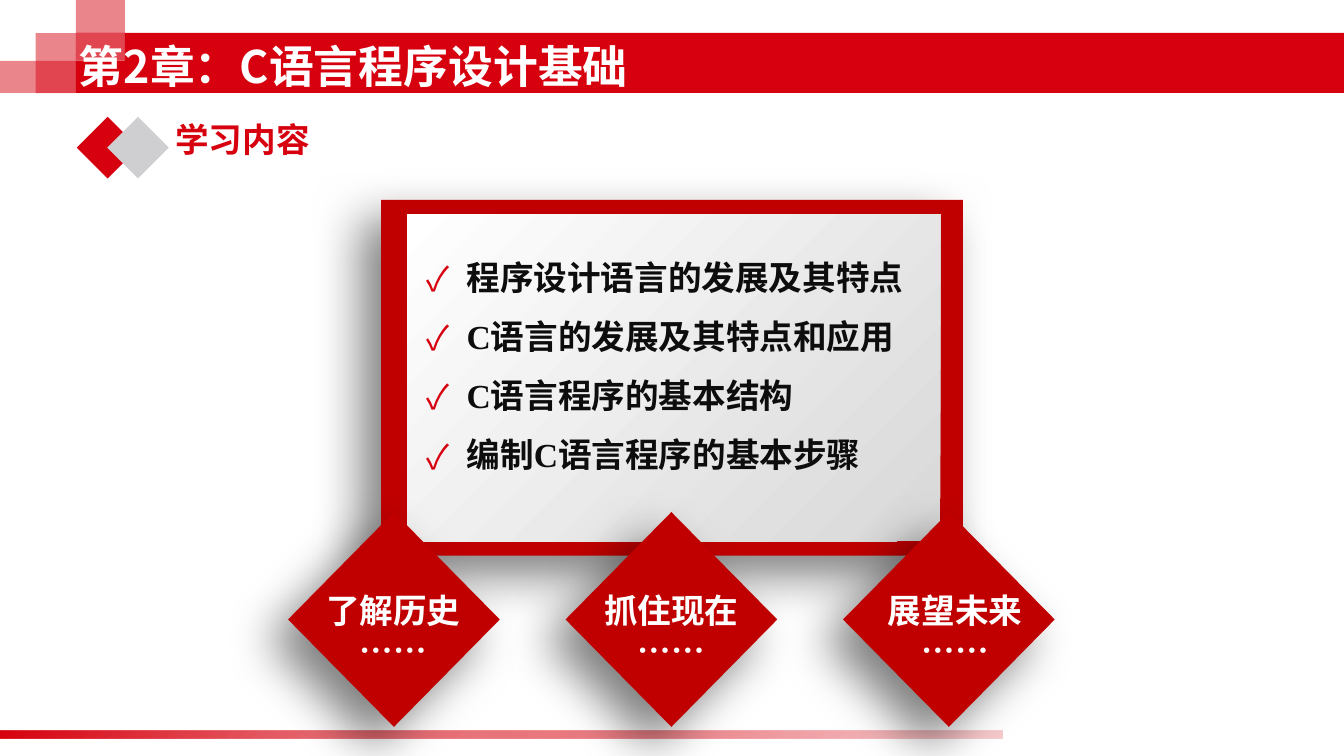
from lxml.etree import SubElement
from pptx import Presentation
from pptx.dml.color import RGBColor
from pptx.enum.shapes import MSO_SHAPE
from pptx.enum.text import MSO_ANCHOR, PP_ALIGN
from pptx.oxml.ns import qn
from pptx.util import Pt

RED = RGBColor(0xD7, 0x00, 0x0F)
DARK_RED = RGBColor(0xC0, 0x00, 0x00)
SILVER = RGBColor(0xCF, 0xCF, 0xD1)
PALE = RGBColor(0xD8, 0xD8, 0xD8)
INK = RGBColor(0x0D, 0x0D, 0x0D)
WHITE = RGBColor(0xFF, 0xFF, 0xFF)
BLACK = RGBColor(0x00, 0x00, 0x00)
SANS = "Noto Sans CJK SC"
SERIF = "Times New Roman"


def add_color(parent, color, opacity=100):
    node = SubElement(parent, qn("a:srgbClr"), val=str(color))
    if opacity < 100:
        SubElement(node, qn("a:alpha"), val=str(opacity * 1000))


class SlideBuilder:
    """Holds the text style and the current slide."""

    def __init__(self, slide, font=SANS, size=24):
        self.slide = slide
        self.font = font
        self.size = size

    def shape(self, kind, left, top, width, height, color, opacity=100):
        shape = self.slide.shapes.add_shape(kind, Pt(left), Pt(top), Pt(width), Pt(height))
        shape.shadow.inherit = False
        shape.line.fill.background()
        shape.fill.solid()
        shape.fill.fore_color.rgb = color
        if opacity < 100:
            color_node = shape.element.spPr.find(qn("a:solidFill"))[0]
            SubElement(color_node, qn("a:alpha"), val=str(opacity * 1000))
        return shape

    def gradient(self, shape, stops, angle):
        shape.fill.gradient()
        fill = shape.element.spPr.find(qn("a:gradFill"))
        for child in list(fill):
            fill.remove(child)
        stop_list = SubElement(fill, qn("a:gsLst"))
        for position, color, opacity in stops:
            stop = SubElement(stop_list, qn("a:gs"), pos=str(position * 1000))
            add_color(stop, color, opacity)
        SubElement(fill, qn("a:lin"), ang=str(angle * 60000), scaled="0")

    def drop_shadow(self, shape):
        effects = shape.element.spPr.find(qn("a:effectLst"))
        shadow = SubElement(effects, qn("a:outerShdw"), blurRad=str(Pt(35)),
                            dist=str(Pt(20)), dir=str(135 * 60000),
                            algn="tr", rotWithShape="0")
        add_color(shadow, BLACK, 50)

    def style(self, para, color, font=None, size=None):
        para.font.name = font or self.font
        para.font.size = Pt(size or self.size)
        para.font.bold = True
        para.font.color.rgb = color
        defaults = para._p.pPr.find(qn("a:defRPr"))
        SubElement(defaults, qn("a:ea"), typeface=self.font)

    def bullet(self, para, color):
        properties = para._p.get_or_add_pPr()
        properties.set("marL", str(Pt(42.5)))
        properties.set("indent", str(Pt(-28.8)))
        add_color(SubElement(properties, qn("a:buClr")), color)
        SubElement(properties, qn("a:buFont"), typeface=self.font)
        SubElement(properties, qn("a:buChar"), char="✓")

    def text(self, left, top, width, height, lines, color, font=None,
             align=PP_ALIGN.LEFT, anchor=MSO_ANCHOR.TOP, bullet_color=None):
        box = self.slide.shapes.add_textbox(Pt(left), Pt(top), Pt(width), Pt(height))
        frame = box.text_frame
        frame.word_wrap = True
        frame.vertical_anchor = anchor
        frame.text = "\n".join(lines)
        for index, para in enumerate(frame.paragraphs):
            para.alignment = align
            if bullet_color is not None:
                para.line_spacing = 1.3
                if index:
                    para.space_before = Pt(4.8)
                self.bullet(para, bullet_color)
            self.style(para, color, font)

    def title(self, left, top, width, height, words, color, size):
        title = self.slide.shapes.title
        title.left, title.top = Pt(left), Pt(top)
        title.width, title.height = Pt(width), Pt(height)
        title.text_frame.text = words
        title.text_frame.vertical_anchor = MSO_ANCHOR.MIDDLE
        para = title.text_frame.paragraphs[0]
        para.alignment = PP_ALIGN.LEFT
        self.style(para, color, size=size)
        # The title lies above the band
        title.element.getparent().append(title.element)


def main():
    deck = Presentation()
    deck.slide_width, deck.slide_height = Pt(960), Pt(540)
    page = SlideBuilder(deck.slides.add_slide(deck.slide_layouts[5]))
    rectangle, diamond = MSO_SHAPE.RECTANGLE, MSO_SHAPE.DIAMOND

    # Header band with overlapping tiles
    page.shape(rectangle, 89.3, 23.4, 870.7, 43, RED)
    for left, top, width, height, opacity in (
        (0, 43.4, 89.3, 23, 48),
        (25.5, 23.6, 28.8, 43, 48),
        (54.2, 0, 35.1, 43.4, 48),
        (54.2, 23.4, 35.1, 20, 48),
        (54.2, 43.4, 35.1, 23, 100),
    ):
        page.shape(rectangle, left, top, width, height, RED, opacity)

    # Footer line
    footer = page.shape(rectangle, 0, 521.8, 716.4, 6, RED)
    page.gradient(footer, [(0, RED, 100), (31, RED, 60), (64, RED, 50), (100, RED, 20)], 40)

    # Framed board with the topics
    frame = page.shape(rectangle, 272.2, 142.8, 415.6, 254, DARK_RED)
    page.drop_shadow(frame)
    board = page.shape(rectangle, 290.8, 153.2, 381, 233.3, PALE)
    page.gradient(board, [(0, PALE, 100), (100, WHITE, 100)], 225)
    topics = ["程序设计语言的发展及其特点", "C语言的发展及其特点和应用",
              "C语言程序的基本结构", "编制C语言程序的基本步骤"]
    page.text(283.7, 174.2, 381, 165.6, topics, INK, SERIF,
              anchor=MSO_ANCHOR.MIDDLE, bullet_color=RED)

    # Section heading
    for left, color in ((54.9, RED), (76.6, SILVER)):
        page.shape(diamond, left, 83.5, 44, 44, color)
    page.text(118.1, 81.4, 193.7, 36, ["学习内容"], RED)

    # Three diamonds at equal steps
    labels = (("了解历史", 281), ("抓住现在", 479.5), ("展望未来", 682.2))
    for index, (label, center) in enumerate(labels):
        left = 205.8 + 198.2 * index
        outer = page.shape(diamond, left, 365.8, 151.2, 153.4, DARK_RED)
        page.drop_shadow(outer)
        page.shape(diamond, left + 14.4, 380.9, 122.4, 124.6, DARK_RED)
        page.text(center - 61.2, 417.6, 122.4, 94.3, [label, "……"], WHITE,
                  align=PP_ALIGN.CENTER)

    # Slide title
    page.title(49, 23, 640.8, 48.2, "第2章：C语言程序设计基础", WHITE, 32)
    deck.save("out.pptx")


if __name__ == "__main__":
    main()
